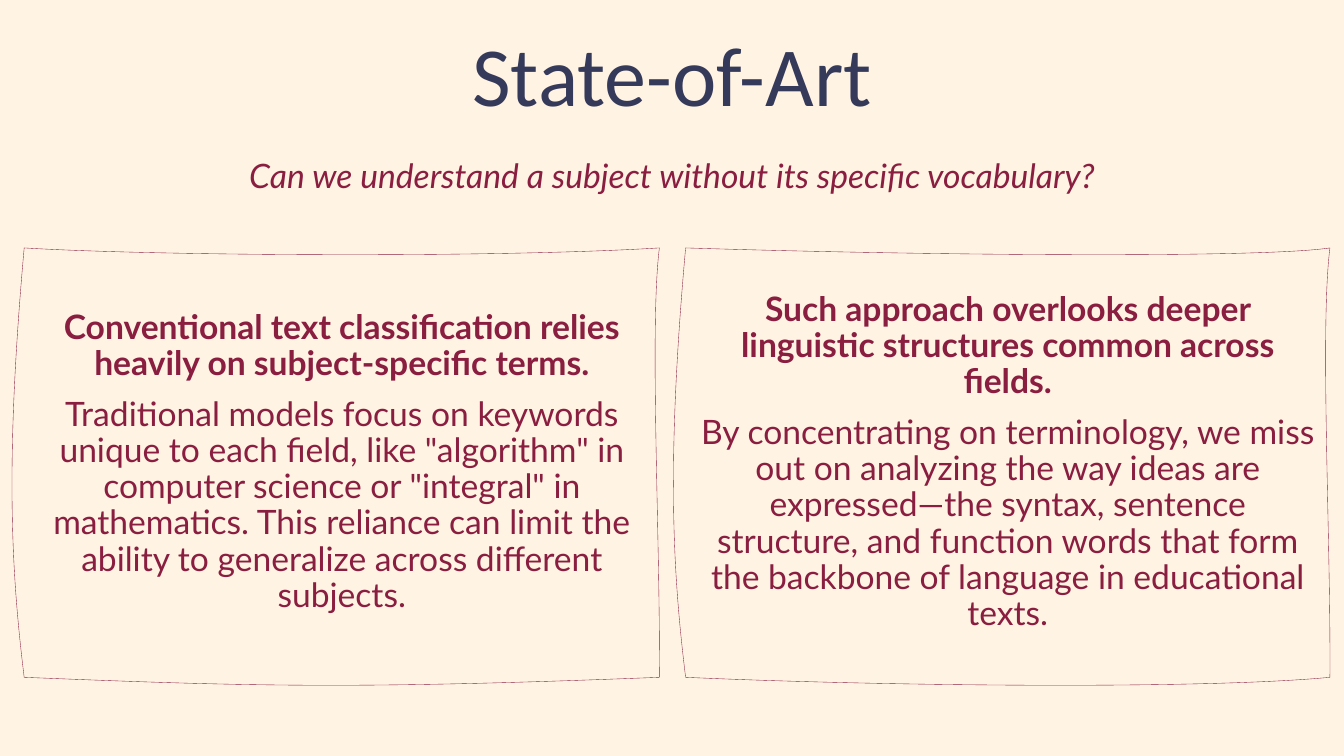
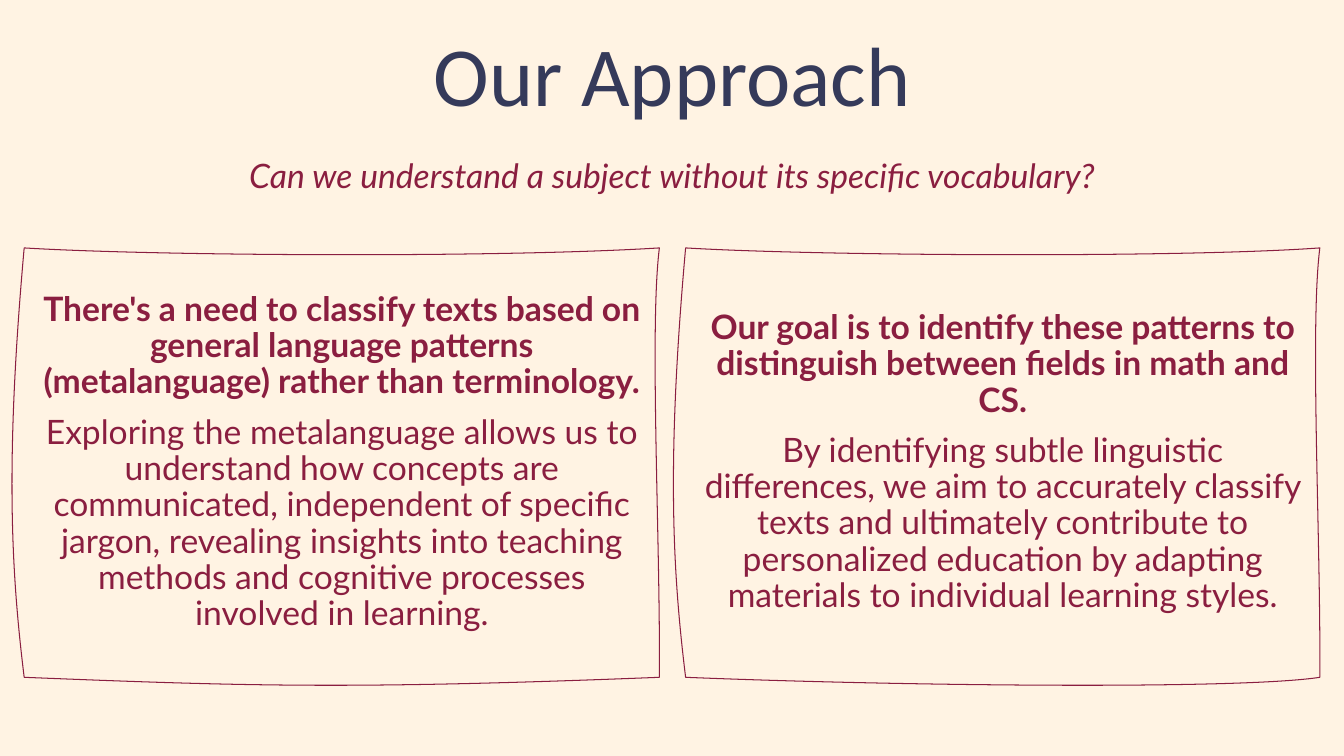
from dataclasses import dataclass

import lxml.etree
import pptx
import pptx.dml.color
import pptx.enum.text
import pptx.oxml.ns
import pptx.util

Inches, Pt = pptx.util.Inches, pptx.util.Pt
qn = pptx.oxml.ns.qn


@dataclass(frozen=True)
class Theme:
    background: str = "FFF3E3"
    title_color: str = "353A5A"
    accent: str = "8A1E40"
    title_font: str = "Calibri"
    body_font: str = "Lato"
    title_size: int = 60
    body_size: int = 24
    line_spacing: float = 0.9
    paragraph_gap: int = 10


THEME = Theme()

# Content: each panel has its text, side edges and the x of its edge controls
QUESTION = "Can we understand a subject without its specific vocabulary?"
LEFT_PANEL = {"sides": (0.24, 6.54), "top_bend": (1.55, 4.93), "bottom_bend": (3.5, 2.47)}
SLIDES = [
    {
        "title": "State-of-Art",
        "line_width": 0.25,
        "panels": [
            {
                **LEFT_PANEL,
                "heading": "Conventional text classification relies heavily on "
                           "subject-specific terms.",
                "detail": "Traditional models focus on keywords unique to each field, like "
                          "\"algorithm\" in computer science or \"integral\" in mathematics. "
                          "This reliance can limit the ability to generalize across "
                          "different subjects.",
            },
            {
                "sides": (6.8, 13.19), "top_bend": (9.35, 12.54), "bottom_bend": (11.93, 8.8),
                "heading": "Such approach overlooks deeper linguistic structures common "
                           "across fields.",
                "detail": "By concentrating on terminology, we miss out on analyzing the way "
                          "ideas are expressed—the syntax, sentence structure, and function "
                          "words that form the backbone of language in educational texts.",
            },
        ],
    },
    {
        "title": "Our Approach",
        "line_width": 0.75,
        "panels": [
            {
                **LEFT_PANEL,
                "heading": "There's a need to classify texts based on general language "
                           "patterns (metalanguage) rather than terminology.",
                "detail": "Exploring the metalanguage allows us to understand how concepts "
                          "are communicated, independent of specific jargon, revealing "
                          "insights into teaching methods and cognitive processes involved "
                          "in learning.",
            },
            {
                "sides": (6.8, 13.09), "top_bend": (8.12, 11.7), "bottom_bend": (12.32, 9.02),
                "heading": "Our goal is to identify these patterns to distinguish between "
                           "fields in math and CS.",
                "detail": "By identifying subtle linguistic differences, we aim to accurately "
                          "classify texts and ultimately contribute to personalized education "
                          "by adapting materials to individual learning styles.",
            },
        ],
    },
]

# Geometry
SLIDE_SIZE = (13.33, 7.5)
TITLE_BOX = (0, 0, 13.33, 1.57)
QUESTION_BOX = (0.78, 1.22, 11.77, 1.08)
PANEL_TOP, PANEL_BOTTOM = 2.46, 6.72


def rgb(color):
    return pptx.dml.color.RGBColor.from_string(color)


def place(shape, box):
    shape.left, shape.top, shape.width, shape.height = map(Inches, box)


def format_paragraph(paragraph, font_name, size, color, bold=False, italic=False, gap=0):
    paragraph.alignment = pptx.enum.text.PP_ALIGN.CENTER
    paragraph.line_spacing = THEME.line_spacing
    paragraph.space_before = Pt(gap)
    font = paragraph.font
    font.name, font.size = font_name, Pt(size)
    font.bold, font.italic = bold, italic
    font.color.rgb = rgb(color)


def format_body(paragraph, **style):
    format_paragraph(paragraph, THEME.body_font, THEME.body_size, THEME.accent, **style)


def prepare_frame(shape):
    frame = shape.text_frame
    frame.word_wrap = True
    frame.auto_size = pptx.enum.text.MSO_AUTO_SIZE.NONE
    frame.vertical_anchor = pptx.enum.text.MSO_ANCHOR.MIDDLE
    return frame


def edge_controls(panel):
    """Two control points for the top, right, bottom and left edges."""
    left, right = panel["sides"]
    (top_1, top_2), (bottom_1, bottom_2) = panel["top_bend"], panel["bottom_bend"]
    return [
        ((top_1, PANEL_TOP + 0.08), (top_2, PANEL_TOP + 0.1)),
        ((right - 0.1, 3.26), (right + 0.01, 5.35)),
        ((bottom_1, PANEL_BOTTOM + 0.12), (bottom_2, PANEL_BOTTOM + 0.09)),
        ((left - 0.13, 5.66), (left - 0.19, 4.58)),
    ]


def bend_edges(shape, controls):
    """Turn each straight edge of a freeform into a cubic curve."""
    edges = list(shape.element.iter(qn("a:lnTo")))
    for edge, bend in zip(edges, controls):
        edge.tag = qn("a:cubicBezTo")
        for index, (x, y) in enumerate(bend):
            point = lxml.etree.Element(qn("a:pt"))
            point.set("x", str(Inches(x) - shape.left))
            point.set("y", str(Inches(y) - shape.top))
            edge.insert(index, point)


def add_panel(slide, panel, line_width):
    left, right = map(Inches, panel["sides"])
    top, bottom = Inches(PANEL_TOP), Inches(PANEL_BOTTOM)
    builder = slide.shapes.build_freeform(left, top)
    builder.add_line_segments([(right, top), (right, bottom), (left, bottom), (left, top)],
                              close=True)
    shape = builder.convert_to_shape()
    bend_edges(shape, edge_controls(panel))
    shape.shadow.inherit = False
    shape.fill.background()
    shape.line.color.rgb = rgb(THEME.accent)
    shape.line.width = Pt(line_width)

    frame = prepare_frame(shape)
    heading, detail = frame.paragraphs[0], frame.add_paragraph()
    heading.text, detail.text = panel["heading"], panel["detail"]
    format_body(heading, bold=True)
    format_body(detail, gap=THEME.paragraph_gap)


def prepare_layout(presentation):
    """Set the shared background and placeholder positions."""
    fill = presentation.slide_master.background.fill
    fill.solid()
    fill.fore_color.rgb = rgb(THEME.background)
    layout = presentation.slide_layouts[0]
    for placeholder, box in zip(layout.placeholders, (TITLE_BOX, QUESTION_BOX)):
        place(placeholder, box)
        prepare_frame(placeholder)
    return layout


def add_slide(presentation, layout, content):
    slide = presentation.slides.add_slide(layout)
    title, question = slide.shapes.title, slide.placeholders[1]
    title.text_frame.text = content["title"]
    format_paragraph(title.text_frame.paragraphs[0], THEME.title_font,
                     THEME.title_size, THEME.title_color)
    question.text_frame.text = QUESTION
    format_body(question.text_frame.paragraphs[0], italic=True)
    for panel in content["panels"]:
        add_panel(slide, panel, content["line_width"])


def main():
    presentation = pptx.Presentation()
    presentation.slide_width, presentation.slide_height = map(Inches, SLIDE_SIZE)
    layout = prepare_layout(presentation)
    for content in SLIDES:
        add_slide(presentation, layout, content)
    presentation.save("out.pptx")


if __name__ == "__main__":
    main()
